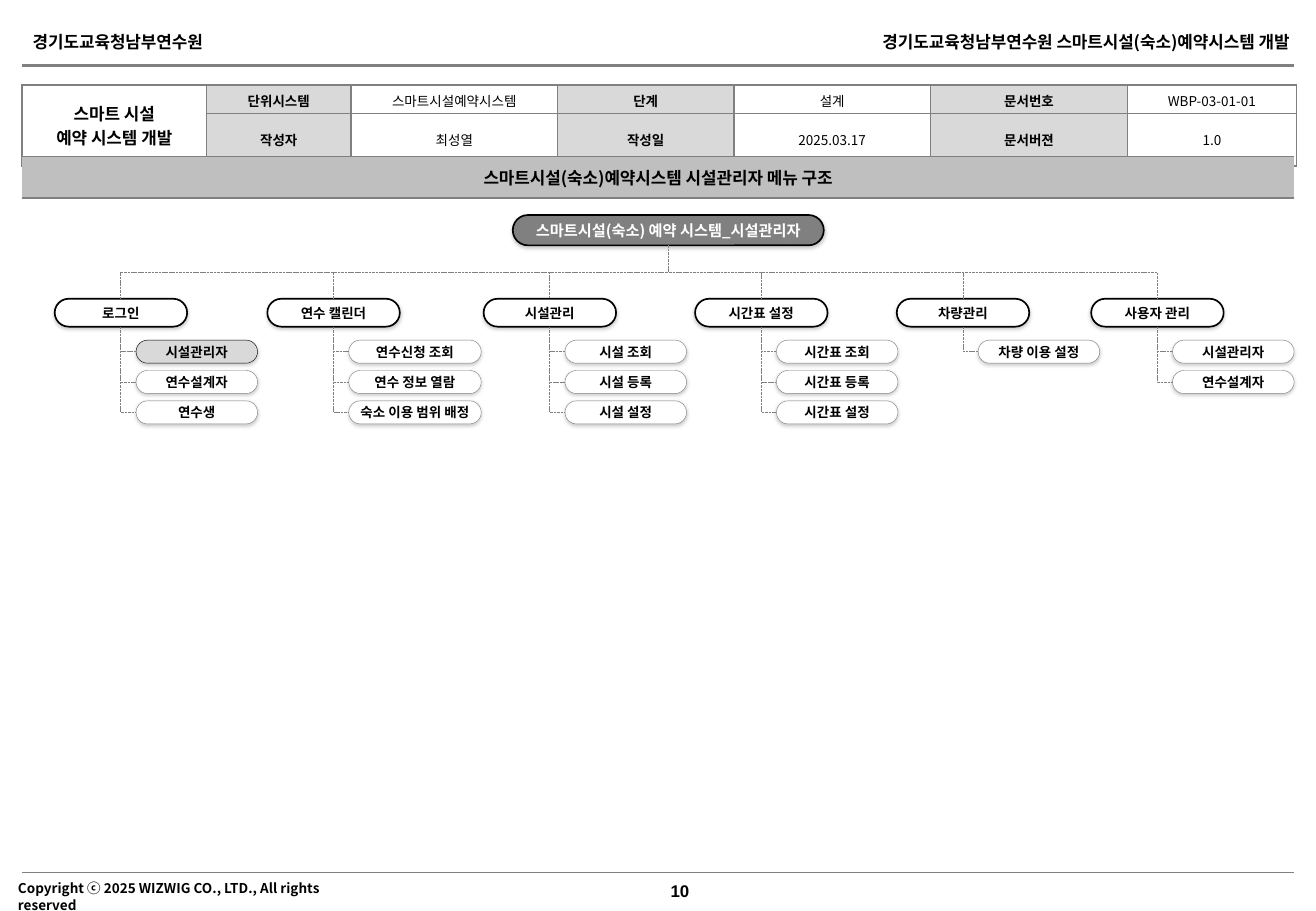
from lxml import etree
from pptx import Presentation
from pptx.dml.color import RGBColor
from pptx.enum.dml import MSO_LINE
from pptx.enum.shapes import MSO_CONNECTOR, MSO_SHAPE
from pptx.enum.text import MSO_ANCHOR, PP_ALIGN
from pptx.oxml.ns import qn
from pptx.util import Inches, Pt

HEADER_LEFT = "경기도교육청남부연수원"
HEADER_RIGHT = "경기도교육청남부연수원 스마트시설(숙소)예약시스템 개발"
COPYRIGHT = "Copyright ⓒ 2025 WIZWIG CO., LTD., All rights reserved"
PAGE = "10"
DOCUMENT = [
    ["스마트 시설\n예약 시스템 개발", "단위시스템", "스마트시설예약시스템", "단계", "설계",
     "문서번호", "WBP-03-01-01"],
    ["", "작성자", "최성열", "작성일", "2025.03.17", "문서버젼", "1.0"],
]
TITLE = "스마트시설(숙소)예약시스템 시설관리자 메뉴 구조"
ROOT = "스마트시설(숙소) 예약 시스템_시설관리자"
MENUS = [
    (0.45, 1.0, "로그인", ["시설관리자", "연수설계자", "연수생"]),
    (2.2, 1.09, "연수 캘린더", ["연수신청 조회", "연수 정보 열람", "숙소 이용 범위 배정"]),
    (3.98, 1.0, "시설관리", ["시설 조회", "시설 등록", "시설 설정"]),
    (5.72, 1.0, "시간표 설정", ["시간표 조회", "시간표 등록", "시간표 설정"]),
    (7.38, 1.0, "차량관리", ["차량 이용 설정"]),
    (8.98, 1.0, "사용자 관리", ["시설관리자", "연수설계자"]),
]
CURRENT = ("로그인", "시설관리자")

BLACK = RGBColor(0x00, 0x00, 0x00)
WHITE = RGBColor(0xFF, 0xFF, 0xFF)
GRAY = RGBColor(0x80, 0x80, 0x80)
SILVER = RGBColor(0xBF, 0xBF, 0xBF)
PALE = RGBColor(0xD9, 0xD9, 0xD9)
LEFT, CENTER, RIGHT = PP_ALIGN.LEFT, PP_ALIGN.CENTER, PP_ALIGN.RIGHT
MIDDLE = MSO_ANCHOR.MIDDLE
ROUNDED = MSO_SHAPE.ROUNDED_RECTANGLE
STRAIGHT, ELBOW = MSO_CONNECTOR.STRAIGHT, MSO_CONNECTOR.ELBOW
DASH = MSO_LINE.SQUARE_DOT
FONT, LATIN_FONT = "Noto Sans CJK KR", "Arial"

WIDTH, HEIGHT = 10.83, 7.5
MARGIN, CONTENT_W = 0.18, 10.47
COLUMNS = [1.52, 1.19, 1.7, 1.45, 1.62, 1.62, 1.39]
MENU_TOP, MENU_W, MENU_H = 2.46, 1.09, 0.23
ITEM_TOP, ITEM_STEP, ITEM_INDENT, ITEM_H = 2.8, 0.25, 0.67, 0.19
TOP_SITE, LEFT_SITE, BOTTOM_SITE = 0, 1, 2

prs = Presentation()
prs.slide_width, prs.slide_height = Inches(WIDTH), Inches(HEIGHT)
s = prs.slides.add_slide(prs.slide_layouts[6])


def write(tf, text, size, color=BLACK, bold=True, align=CENTER, font=FONT):
    tf.text = text
    for p in tf.paragraphs:
        p.alignment = align
        p.font.size, p.font.bold, p.font.name = Pt(size), bold, font
        p.font.color.rgb = color
        props = p._p.get_or_add_pPr().find(qn("a:defRPr"))
        etree.SubElement(props, qn("a:ea"), typeface=font)


def label(box, text, size, align=LEFT, font=FONT):
    tf = s.shapes.add_textbox(*map(Inches, box)).text_frame
    tf.word_wrap = True
    write(tf, text, size, align=align, font=font)


def style_line(c, width):
    c.line.color.rgb, c.line.width = GRAY, Pt(width)
    etree.SubElement(c._element.spPr, qn("a:effectLst"))


def rule(y, width):
    c = s.shapes.add_connector(STRAIGHT, *map(Inches, (MARGIN, y, MARGIN + CONTENT_W, y)))
    style_line(c, width)


def border(cell, sides):
    props = cell._tc.get_or_add_tcPr()
    for side in "LRTB":
        ln = etree.SubElement(props, qn("a:ln" + side), w=str(Pt(1)))
        if side in sides:
            fill = etree.SubElement(ln, qn("a:solidFill"))
            etree.SubElement(fill, qn("a:srgbClr"), val=str(GRAY))
        else:
            etree.SubElement(ln, qn("a:noFill"))


def add_table(top, columns, rows):
    box = map(Inches, (MARGIN, top, CONTENT_W, sum(rows)))
    table = s.shapes.add_table(len(rows), len(columns), *box).table
    table.first_row = table.horz_banding = False
    for col, width in zip(table.columns, columns):
        col.width = Inches(width)
    for row, height in zip(table.rows, rows):
        row.height = Inches(height)
    return table


def fill_cell(cell, text, size, fill, sides, bold=True, inset=0.11):
    border(cell, sides)
    cell.fill.solid()
    cell.fill.fore_color.rgb = fill
    cell.vertical_anchor = MIDDLE
    cell.margin_left = cell.margin_right = Inches(inset)
    write(cell.text_frame, text, size, bold=bold)


def pill(box, text, size=8, fill=WHITE, line=BLACK, weight=1, color=BLACK):
    sp = s.shapes.add_shape(ROUNDED, *map(Inches, box))
    sp.adjustments[0] = 0.5
    sp.fill.solid()
    sp.fill.fore_color.rgb = fill
    sp.line.color.rgb, sp.line.width = line, Pt(weight)
    sp.shadow.inherit = False
    shadow = etree.SubElement(
        sp._element.spPr.find(qn("a:effectLst")), qn("a:outerShdw"),
        blurRad=str(Pt(2)), dist=str(Pt(1)), dir="5400000", algn="t", rotWithShape="0")
    tint = etree.SubElement(shadow, qn("a:srgbClr"), val=str(GRAY))
    etree.SubElement(tint, qn("a:alpha"), val="40000")
    tf = sp.text_frame
    tf.word_wrap = True
    tf.vertical_anchor = MIDDLE
    tf.margin_left = tf.margin_right = Inches(0.04)
    write(tf, text, size, color)
    return sp


def branch(parent, child, site, preset):
    x1, y1 = parent.left + parent.width // 2, parent.top + parent.height
    x2, y2 = child.left, child.top
    if site == TOP_SITE:
        x2 += child.width // 2
    else:
        y2 += child.height // 2
    c = s.shapes.add_connector(ELBOW, x1, y1, x2, y2)
    c.begin_connect(parent, BOTTOM_SITE)
    c.end_connect(child, site)
    style_line(c, 0.5)
    c.line.dash_style = DASH
    drop, reach = y2 - y1, abs(x2 - x1)
    c.left, c.top = (x1 + x2 - drop) // 2, (y1 + y2 - reach) // 2
    c.width, c.height = drop, reach
    props = c._element.spPr
    props.find(qn("a:prstGeom")).set("prst", preset)
    xfrm = props.find(qn("a:xfrm"))
    xfrm.set("rot", "5400000" if x2 < x1 else "16200000")
    xfrm.set("flipH", "0" if x2 < x1 else "1")
    xfrm.set("flipV", "0")


rule(7.18, 0.25)
rule(0.54, 1.5)
label((5.42, 7.2, 0.39, 0.27), PAGE, 10, font=LATIN_FONT)
label((0.05, 7.2, 3.13, 0.24), COPYRIGHT, 8)
label((7.04, 0.21, 3.67, 0.27), HEADER_RIGHT, 10, align=RIGHT)
label((0.17, 0.21, 1.85, 0.27), HEADER_LEFT, 10)

info = add_table(0.7, COLUMNS, [0.16, 0.16])
info.cell(0, 0).merge(info.cell(1, 0))
for i, row in enumerate(DOCUMENT):
    for j, text in enumerate(row):
        heading = j % 2 == 1
        fill_cell(info.cell(i, j), text, 8 if j else 10, PALE if heading else WHITE,
                  "LRTB", bold=heading or j == 0)

title = add_table(1.29, [CONTENT_W], [0.34])
fill_cell(title.cell(0, 0), TITLE, 10, SILVER, "TB", inset=0.06)

root = pill((4.22, 1.77, 2.56, 0.25), ROOT, 9, GRAY, color=WHITE)
for left, item_w, name, items in MENUS:
    menu = pill((left, MENU_TOP, MENU_W, MENU_H), name)
    branch(root, menu, TOP_SITE, "bentConnector3")
    for i, text in enumerate(items):
        current = (name, text) == CURRENT
        item = pill((left + ITEM_INDENT, ITEM_TOP + i * ITEM_STEP, item_w, ITEM_H), text,
                    fill=PALE if current else WHITE, line=BLACK if current else GRAY,
                    weight=0.25)
        branch(menu, item, LEFT_SITE, "bentConnector2")

prs.save("out.pptx")
